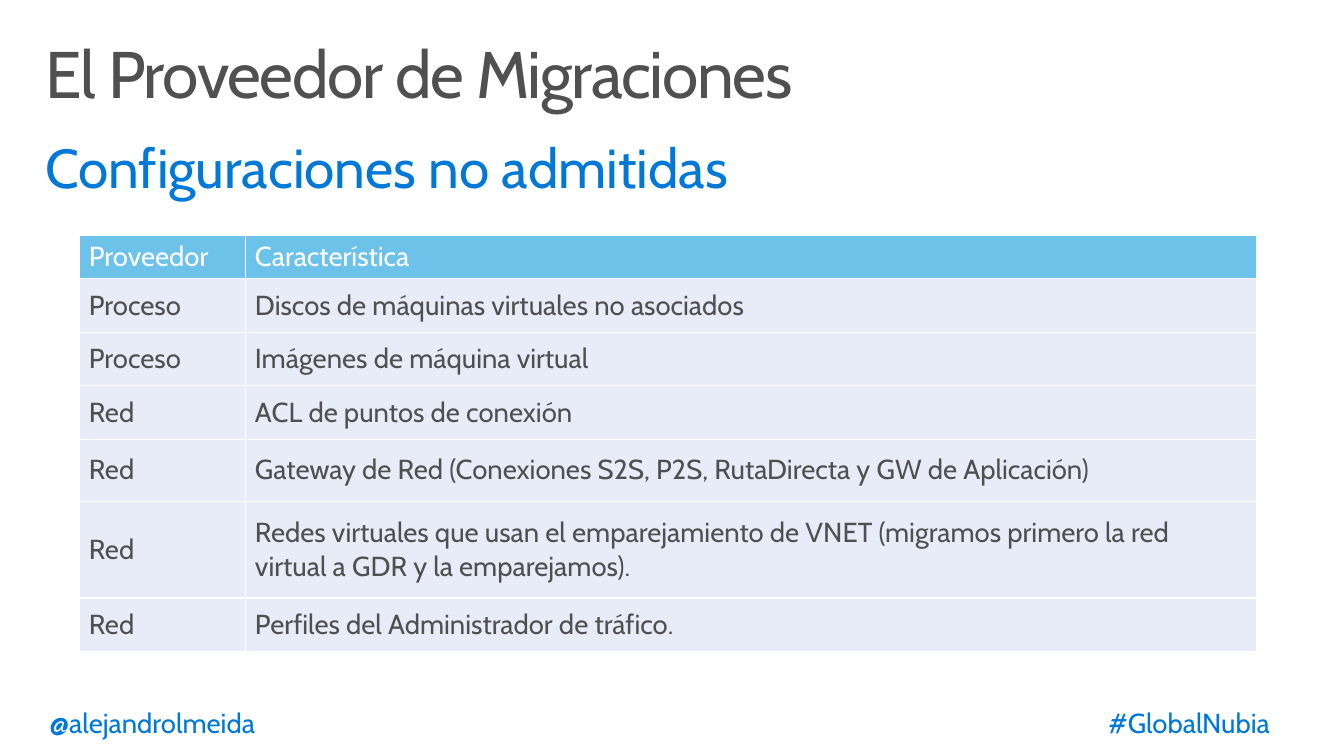
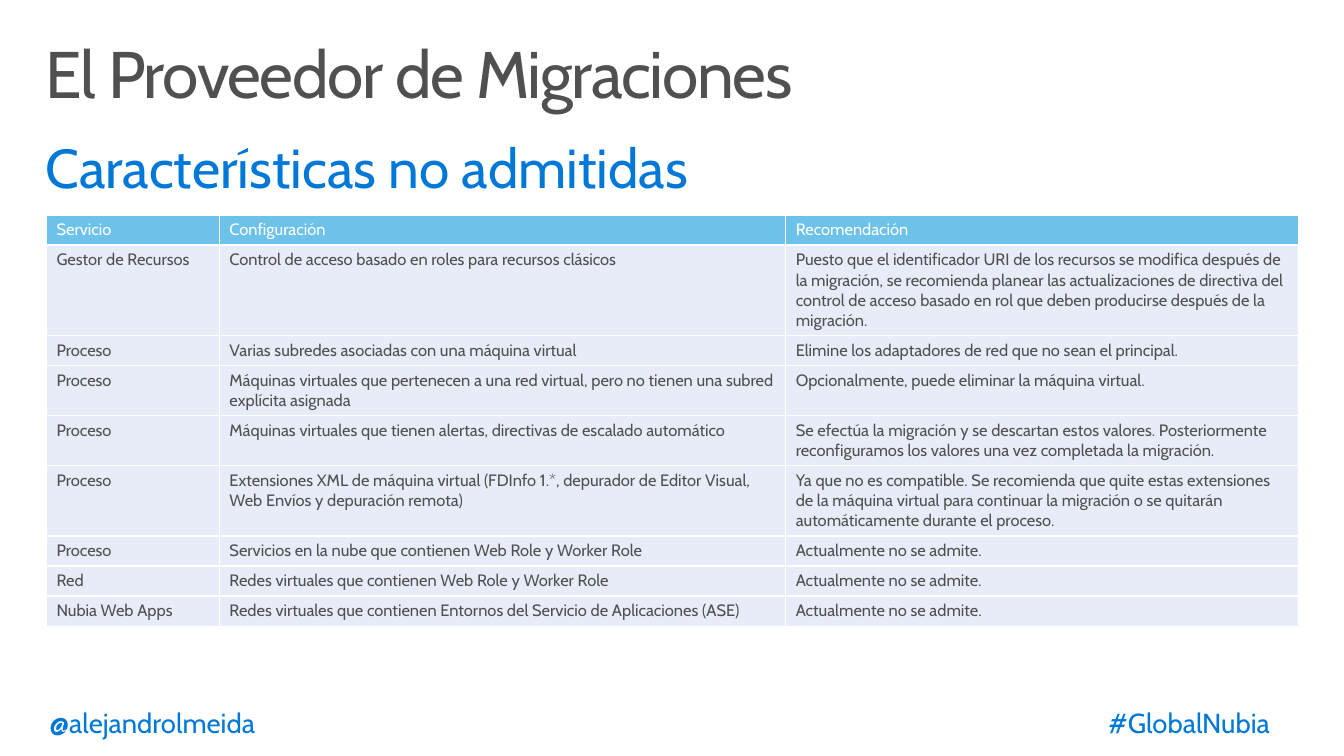
from lxml import etree
from pptx import Presentation
from pptx.dml.color import RGBColor
from pptx.enum.text import MSO_ANCHOR, MSO_AUTO_SIZE, PP_ALIGN
from pptx.oxml.ns import qn
from pptx.util import Pt

TOP, MIDDLE = MSO_ANCHOR.TOP, MSO_ANCHOR.MIDDLE
LEFT, RIGHT = PP_ALIGN.LEFT, PP_ALIGN.RIGHT
NO_FIT = MSO_AUTO_SIZE.NONE

FONT = "Cabin"
COLORS = {"gray": "505050", "blue": "0078D7", "header": "6DC2E9",
          "row": "E7ECF8", "white": "FFFFFF"}

TITLE = "El Proveedor de Migraciones"
FOOTERS = [  # text, left, width, alignment
    ("#GlobalNubia", 645.8, 293.8, RIGHT),
    ("@alejandrolmeida", 21.6, 234, LEFT),
]

# Height of a table row at 12 points: cell margins plus its lines of text
ROW_PADDING, LINE_HEIGHT = 7.2, 14.6
LINES = [1, 4, 1, 2, 2, 3, 1, 1, 1]

SLIDES = [
    {
        "title_width": 702,
        "subtitle": "Configuraciones no admitidas",
        "left": 57.6, "top": 171.4, "size": 20, "anchor": MIDDLE,
        "cols": [121, 736.8],
        "heights": [31, 39, 39, 39, 45.2, 70.6, 39],
        "rows": [
            ("Proveedor", "Característica"),
            ("Proceso", "Discos de máquinas virtuales no asociados"),
            ("Proceso", "Imágenes de máquina virtual"),
            ("Red", "ACL de puntos de conexión"),
            ("Red", "Gateway de Red (Conexiones S2S, P2S, RutaDirecta y GW de "
                    "Aplicación)"),
            ("Red", "Redes virtuales que usan el emparejamiento de VNET (migramos "
                    "primero la red virtual a GDR y la emparejamos)."),
            ("Red", "Perfiles del Administrador de tráfico."),
        ],
    },
    {
        "title_width": 630,
        "subtitle": "Características no admitidas",
        "left": 34, "top": 156.6, "size": 12, "anchor": TOP,
        "cols": [126, 412.6, 373.7],
        "heights": [ROW_PADDING + LINE_HEIGHT * n for n in LINES],
        "rows": [
            ("Servicio", "Configuración", "Recomendación"),
            ("Gestor de Recursos",
             "Control de acceso basado en roles para recursos clásicos",
             "Puesto que el identificador URI de los recursos se modifica después "
             "de la migración, se recomienda planear las actualizaciones de "
             "directiva del control de acceso basado en rol que deben producirse "
             "después de la migración."),
            ("Proceso", "Varias subredes asociadas con una máquina virtual",
             "Elimine los adaptadores de red que no sean el principal."),
            ("Proceso",
             "Máquinas virtuales que pertenecen a una red virtual, pero no tienen "
             "una subred explícita asignada",
             "Opcionalmente, puede eliminar la máquina virtual."),
            ("Proceso",
             "Máquinas virtuales que tienen alertas, directivas de escalado "
             "automático",
             "Se efectúa la migración y se descartan estos valores. Posteriormente "
             "reconfiguramos los valores una vez completada la migración."),
            ("Proceso",
             "Extensiones XML de máquina virtual (FDInfo 1.*, depurador de Editor "
             "Visual, Web Envíos y depuración remota)",
             "Ya que no es compatible. Se recomienda que quite estas extensiones "
             "de la máquina virtual para continuar la migración o se quitarán "
             "automáticamente durante el proceso."),
            ("Proceso", "Servicios en la nube que contienen Web Role y Worker Role",
             "Actualmente no se admite."),
            ("Red", "Redes virtuales que contienen Web Role y Worker Role",
             "Actualmente no se admite."),
            ("Nubia Web Apps",
             "Redes virtuales que contienen Entornos del Servicio de Aplicaciones "
             "(ASE)",
             "Actualmente no se admite."),
        ],
    },
]


def rgb(name):
    return RGBColor.from_string(COLORS[name])


def write(p, text, size, color):
    r = p.add_run()
    r.text = text
    r.font.name, r.font.size = FONT, Pt(size)
    r.font.color.rgb = rgb(color)
    return r


def fill_box(sp, box, margins, text, size, color, align=LEFT, after=0):
    """Place a text shape and write its single paragraph."""
    for name, value in zip(("left", "top", "width", "height"), box):
        setattr(sp, name, Pt(value))
    tf = sp.text_frame
    side, edge = map(Pt, margins)
    frame = {"margin_left": side, "margin_right": side, "margin_top": edge,
             "margin_bottom": edge, "word_wrap": True, "auto_size": NO_FIT,
             "vertical_anchor": TOP}
    for name, value in frame.items():
        setattr(tf, name, value)
    p = tf.paragraphs[0]
    layout = {"alignment": align, "line_spacing": 0.9, "space_before": Pt(0),
              "space_after": Pt(after)}
    for name, value in layout.items():
        setattr(p, name, value)
    return write(p, text, size, color)


def add_borders(cell):
    tcPr = cell._tc.get_or_add_tcPr()
    for side in "LRTB":
        ln = etree.SubElement(tcPr, qn(f"a:ln{side}"), w=str(Pt(1)))
        solid = etree.SubElement(ln, qn("a:solidFill"))
        etree.SubElement(solid, qn("a:srgbClr"), val=COLORS["white"])


def add_grid(s, data):
    rows, cols, heights = data["rows"], data["cols"], data["heights"]
    table = s.shapes.add_table(
        len(rows), len(cols), Pt(data["left"]), Pt(data["top"]),
        Pt(sum(cols)), Pt(sum(heights))).table
    for col, width in zip(table.columns, cols):
        col.width = Pt(width)
    for i, (row, height, texts) in enumerate(zip(table.rows, heights, rows)):
        row.height = Pt(height)
        fill, color = ("row", "gray") if i else ("header", "white")
        for cell, text in zip(row.cells, texts):
            add_borders(cell)
            cell.fill.solid()
            cell.fill.fore_color.rgb = rgb(fill)
            cell.vertical_anchor = data["anchor"]
            r = write(cell.text_frame.paragraphs[0], text, data["size"], color)
            r.font.bold = False


def add_slide(prs, data):
    s = prs.slides.add_slide(prs.slide_layouts[5])
    for text, left, width, align in FOOTERS:
        fill_box(s.shapes.add_textbox(0, 0, 0, 0), (left, 505.4, width, 45.4),
                 (14.4, 11.5), text, 20, "blue", align, after=6)
    r = fill_box(s.shapes.title, (21.6, 23, data["title_width"], 72),
                 (11.5, 7.2), TITLE, 48, "gray")
    r.font._element.set("spc", "-100")
    fill_box(s.shapes.add_textbox(0, 0, 0, 0), (21.6, 95.8, 936, 58.3),
             (11.5, 7.2), data["subtitle"], 40, "blue")
    add_grid(s, data)


def main():
    prs = Presentation()
    prs.slide_width, prs.slide_height = Pt(979.2), Pt(550.8)
    for data in SLIDES:
        add_slide(prs, data)
    prs.save("out.pptx")


if __name__ == "__main__":
    main()
